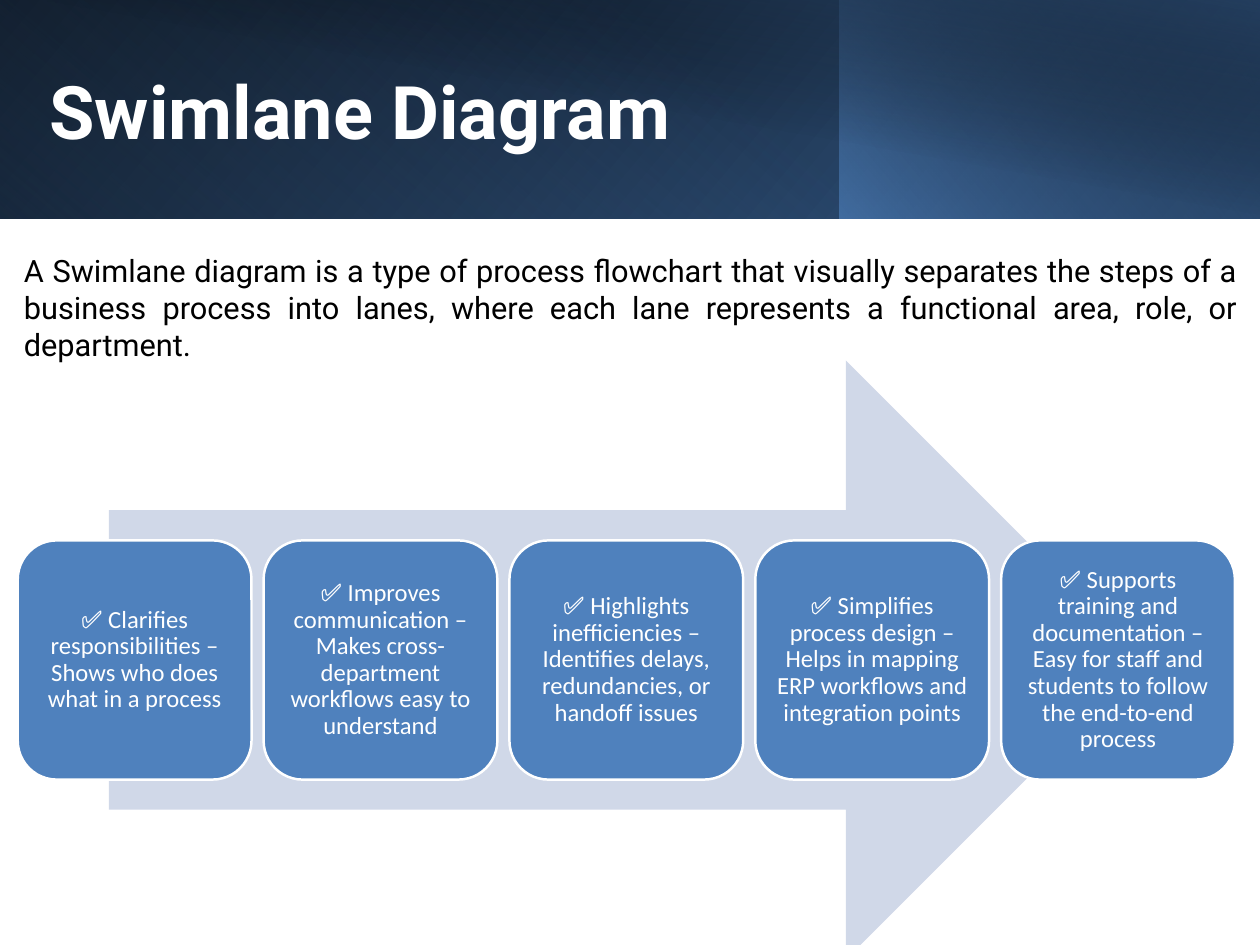
from lxml import etree
from pptx import Presentation
from pptx import util as u
from pptx.dml.color import RGBColor
from pptx.enum import shapes, text
from pptx.oxml import ns

COLOURS = {
    "black": "000000", "white": "FFFFFF", "navy": "254061",
    "ocean": "376092", "blue": "4F81BD", "pale": "D0D8E8",
}
TITLE = "Swimlane Diagram"
DEFINITION = (
    "A Swimlane diagram is a type of process flowchart that visually separates "
    "the steps of a business process into lanes, where each lane represents a "
    "functional area, role, or department."
)
BENEFITS = [
    "✅ Clarifies responsibilities – Shows who does what in a process",
    "✅ Improves communication – Makes cross-department workflows easy to understand",
    "✅ Highlights inefficiencies – Identifies delays, redundancies, or handoff issues",
    "✅ Simplifies process design – Helps in mapping ERP workflows and integration points",
    "✅ Supports training and documentation – Easy for staff and students to follow "
    "the end-to-end process",
]
# left, width, angle, stops as (position %, colour, opacity %)
BANNER_LAYERS = [
    (0, 1024, 40, [(0, "black", 100), (100, "ocean", 100)]),
    (0, 682, 130, [(20, "blue", 0), (100, "navy", 55)]),
    (682, 342, 320, [(0, "blue", 66), (100, "black", 30)]),
    (39, 985, 280, [(50, "black", 0), (99, "navy", 52)]),
]
SLIDE_WIDTH, SLIDE_HEIGHT, BANNER_HEIGHT = 1024, 768, 178
CARD_LEFT, CARD_TOP, CARD_WIDTH, CARD_HEIGHT, CARD_PITCH = 14.4, 439.2, 190, 194.4, 199.8


def rgb(name):
    return RGBColor.from_string(COLOURS[name])


def add_shape(page, kind, left, top, width, height):
    shape = page.shapes.add_shape(kind, u.Pt(left), u.Pt(top), u.Pt(width), u.Pt(height))
    shape.shadow.inherit = False
    shape.line.fill.background()
    return shape


def fill_solid(shape, colour):
    shape.fill.solid()
    shape.fill.fore_color.rgb = rgb(colour)


def fill_gradient(shape, angle, stops):
    """Fill with a linear gradient whose stops carry their own opacity."""
    shape.fill.background()
    empty_fill = shape._element.spPr.find(ns.qn("a:noFill"))
    gradient = etree.Element(ns.qn("a:gradFill"), rotWithShape="1")
    stop_list = etree.SubElement(gradient, ns.qn("a:gsLst"))
    for position, colour, opacity in stops:
        stop = etree.SubElement(stop_list, ns.qn("a:gs"), pos=str(position * 1000))
        tint = etree.SubElement(stop, ns.qn("a:srgbClr"), val=COLOURS[colour])
        etree.SubElement(tint, ns.qn("a:alpha"), val=str(opacity * 1000))
    etree.SubElement(gradient, ns.qn("a:lin"), ang=str(angle * 60000), scaled="0")
    empty_fill.getparent().replace(empty_fill, gradient)


def write(box, words, font, size, colour, align, anchor, inset=0, bold=False, spacing=1.0):
    frame = box.text_frame
    frame.word_wrap = True
    frame.vertical_anchor = anchor
    frame.margin_left = frame.margin_right = u.Pt(inset)
    frame.margin_top = frame.margin_bottom = u.Pt(inset)
    para = frame.paragraphs[0]
    para.alignment = align
    para.line_spacing = spacing
    span = para.add_run()
    span.text = words
    span.font.name = font
    span.font.size = u.Pt(size)
    span.font.bold = bold
    span.font.color.rgb = rgb(colour)


def add_text(page, left, top, width, height, *style, **options):
    box = page.shapes.add_textbox(u.Pt(left), u.Pt(top), u.Pt(width), u.Pt(height))
    write(box, *style, **options)


def main():
    deck = Presentation()
    deck.slide_width, deck.slide_height = u.Pt(SLIDE_WIDTH), u.Pt(SLIDE_HEIGHT)
    page = deck.slides.add_slide(deck.slide_layouts[6])
    align, anchor = text.PP_ALIGN, text.MSO_ANCHOR
    preset = shapes.MSO_SHAPE

    for left, width, angle, stops in BANNER_LAYERS:
        layer = add_shape(page, preset.RECTANGLE, left, 0, width, BANNER_HEIGHT)
        fill_gradient(layer, angle, stops)

    add_text(page, 40.3, 53.3, 831, 116, TITLE, "Roboto", 60, "white",
             align.LEFT, anchor.TOP, bold=True)
    add_text(page, 19.4, 169.2, 985.7, 160.6, DEFINITION, "Roboto", 25, "black",
             align.JUSTIFY, anchor.MIDDLE)

    arrow = add_shape(page, preset.RIGHT_ARROW, 88.5, 293, 842.4, 486.7)
    fill_solid(arrow, "pale")

    for index, benefit in enumerate(BENEFITS):
        card = add_shape(page, preset.ROUNDED_RECTANGLE, CARD_LEFT + index * CARD_PITCH,
                         CARD_TOP, CARD_WIDTH, CARD_HEIGHT)
        fill_solid(card, "blue")
        card.line.color.rgb = rgb("white")
        card.line.width = u.Pt(2)
        write(card, benefit, "Calibri", 20, "white", align.CENTER, anchor.MIDDLE,
              inset=6, spacing=0.9)

    deck.save("out.pptx")


if __name__ == "__main__":
    main()
